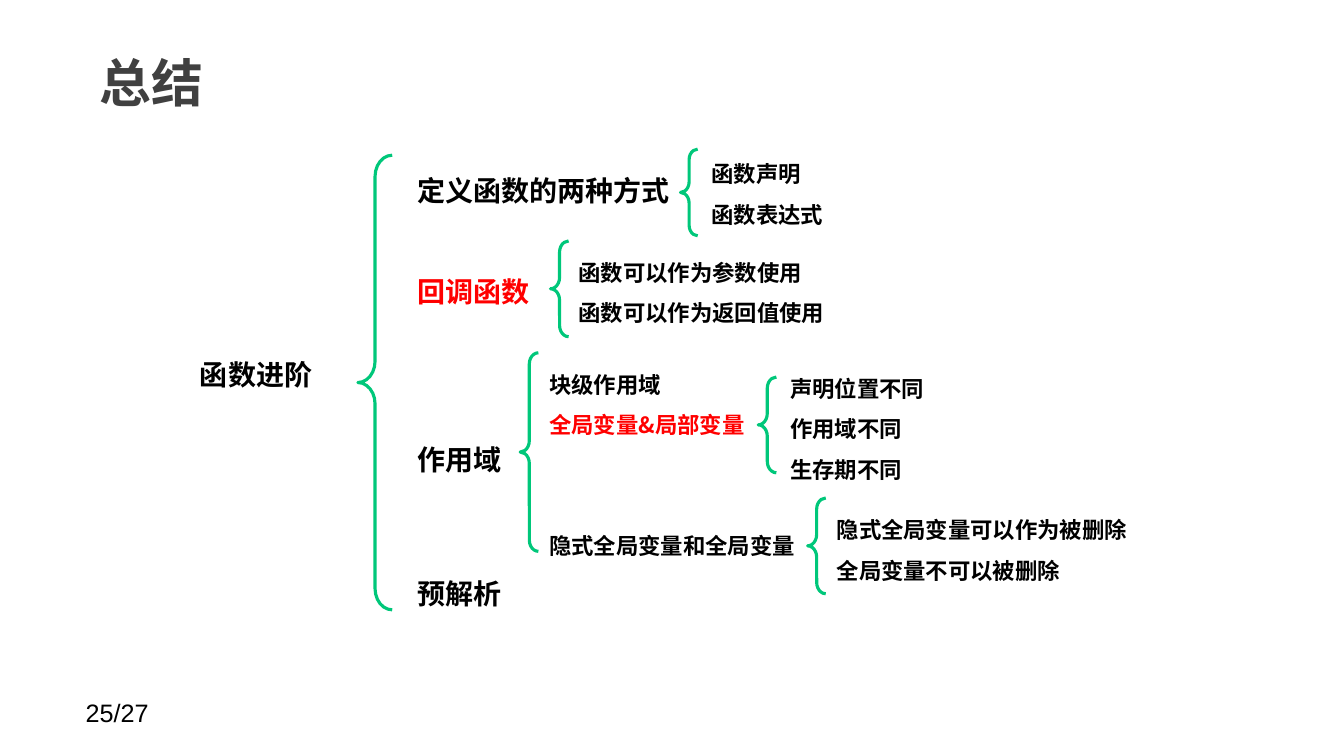
import pptx
import pptx.util
import pptx.dml.color
import pptx.enum.shapes
import pptx.enum.text
import lxml.etree
from dataclasses import dataclass

Inches = pptx.util.Inches
Pt = pptx.util.Pt


@dataclass
class Theme:
    ink: str = "000000"
    grey: str = "404040"
    red: str = "FF0000"
    green: str = "00C77A"
    sans: str = "Noto Sans CJK SC"
    latin: str = "Arial"
    title: int = 37
    topic: int = 20
    page: int = 18
    item: int = 16
    line: float = 2.25


class Deck:
    def __init__(self, theme):
        self.theme = theme
        self.file = pptx.Presentation()
        self.file.slide_width = Inches(13.33)
        self.file.slide_height = Inches(7.5)
        self.slide = self.file.slides.add_slide(self.file.slide_layouts[6])

    def box(self, area):
        frame = self.slide.shapes.add_textbox(*map(Inches, area)).text_frame
        frame.word_wrap = True
        return frame

    def run(self, para, text, size, color=None, bold=True, face=None):
        run = para.add_run()
        run.text = text
        font = run.font
        font.size = Pt(size)
        font.bold = bold
        font.name = face or self.theme.sans
        font.color.rgb = pptx.dml.color.RGBColor.from_string(color or self.theme.ink)
        tag = pptx.oxml.ns.qn("a:ea")
        lxml.etree.SubElement(run._r.rPr, tag).set("typeface", self.theme.sans)

    def lines(self, area, rows, size, pitch):
        frame = self.box(area)
        for i, (text, color, gap) in enumerate(rows):
            para = frame.add_paragraph() if i else frame.paragraphs[0]
            para.line_spacing = pitch
            para.space_before = Pt(gap)
            self.run(para, text, size, color)

    def items(self, area, *texts):
        rows = [(text, self.theme.ink, 0) for text in texts]
        self.lines(area, rows, self.theme.item, 1.5)

    def brace(self, *area):
        kind = pptx.enum.shapes.MSO_SHAPE.LEFT_BRACE
        shape = self.slide.shapes.add_shape(kind, *map(Inches, area))
        shape.adjustments[0] = 0.62
        shape.adjustments[1] = 0.5
        shape.shadow.inherit = False
        shape.fill.background()
        shape.line.color.rgb = pptx.dml.color.RGBColor.from_string(self.theme.green)
        shape.line.width = Pt(self.theme.line)

    def title(self, area, text):
        frame = self.box(area)
        frame.vertical_anchor = pptx.enum.text.MSO_ANCHOR.MIDDLE
        frame.margin_left = frame.margin_right = Inches(0.13)
        frame.margin_top = frame.margin_bottom = Inches(0.06)
        self.run(frame.paragraphs[0], text, self.theme.title, self.theme.grey)

    def root(self, area, text):
        para = self.box(area).paragraphs[0]
        para.alignment = pptx.enum.text.PP_ALIGN.CENTER
        self.run(para, text, self.theme.topic, face=self.theme.latin)

    def page(self, area, text):
        para = self.box(area).paragraphs[0]
        self.run(para, text, self.theme.page, bold=False, face=self.theme.latin)


def main():
    look = Theme()
    deck = Deck(look)
    deck.page((0.75, 6.87, 2.33, 0.4), "25/27")
    deck.title((0.86, 0.3, 10.41, 1.03), "总结")

    deck.root((1.05, 3.5, 2.98, 0.44), "函数进阶")
    deck.brace(3.55, 1.54, 0.34, 4.51)
    topics = [
        ("定义函数的两种方式", look.ink, 0),
        ("回调函数", look.red, 48),
        ("作用域", look.ink, 96),
        ("预解析", look.ink, 72),
    ]
    deck.lines((4.04, 1.67, 2.75, 4.5), topics, look.topic, 1.0)

    deck.brace(6.75, 1.48, 0.17, 0.86)
    deck.items((6.96, 1.41, 3.57, 0.91), "函数声明", "函数表达式")

    deck.brace(5.46, 2.39, 0.18, 0.95)
    deck.items((5.64, 2.39, 3.68, 0.91), "函数可以作为参数使用", "函数可以作为返回值使用")

    deck.brace(5.16, 3.5, 0.18, 1.97)
    scopes = [
        ("块级作用域", look.ink, 0),
        ("全局变量&局部变量", look.red, 0),
        ("隐式全局变量和全局变量", look.ink, 57.6),
    ]
    deck.lines((5.35, 3.5, 2.85, 2.52), scopes, look.item, 1.5)

    deck.brace(7.52, 3.74, 0.18, 0.95)
    deck.items((7.74, 3.54, 3.03, 1.31), "声明位置不同", "作用域不同", "生存期不同")

    deck.brace(8.01, 4.94, 0.18, 0.95)
    deck.items((8.2, 4.94, 3.25, 0.91), "隐式全局变量可以作为被删除", "全局变量不可以被删除")

    deck.file.save("out.pptx")


if __name__ == "__main__":
    main()
